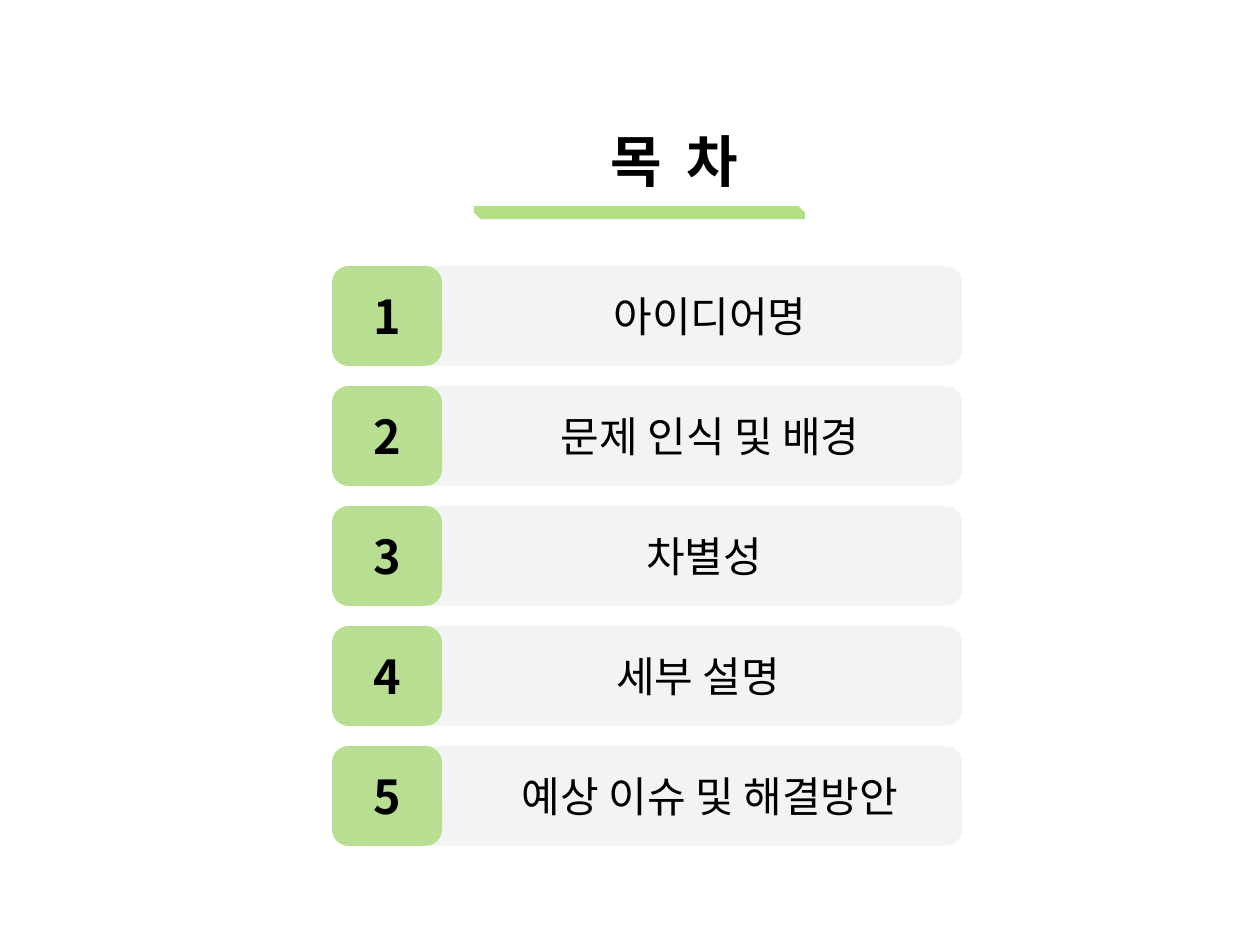
from lxml import etree
from pptx import Presentation
from pptx import util as u
from pptx.dml import color
from pptx.enum import shapes, text
from pptx.oxml import ns

PX_PER_INCH = 168
FONT = "Noto Sans CJK KR"
GREEN = "92D050"
GRAY = "D9D9D9"
BLACK = "000000"

LIST_LEFT, LIST_TOP = 332, 266
ROW_PITCH, ROW_HEIGHT = 120, 100
BAR_WIDTH, BADGE_WIDTH = 630, 110
SIDE_MARGIN = 17

ENTRIES = [
    ("아이디어명", 126),
    ("문제 인식 및 배경", 126),
    ("차별성", 114),
    ("세부 설명", 102),
    ("예상 이슈 및 해결방안", 126),
]


def px(value):
    return u.Emu(round(value * u.Inches(1) / PX_PER_INCH))


def rgb(value):
    return color.RGBColor.from_string(value)


def apply_format(target, values):
    for name, value in values.items():
        setattr(target, name, value)


def add_child(parent, tag, **attributes):
    return etree.SubElement(parent, ns.qn(tag), attributes)


def write_text(shape, content, size, bold, alignment, indent=0, spacing=0):
    frame = shape.text_frame
    apply_format(frame, {
        "auto_size": text.MSO_AUTO_SIZE.NONE,
        "word_wrap": True,
        "vertical_anchor": text.MSO_ANCHOR.MIDDLE,
        "margin_left": px(SIDE_MARGIN + indent),
        "margin_right": px(SIDE_MARGIN),
        "margin_top": 0,
        "margin_bottom": 0,
    })
    paragraph = frame.paragraphs[0]
    paragraph.alignment = alignment
    run = paragraph.add_run()
    run.text = content
    apply_format(run.font, {"name": FONT, "size": u.Pt(size), "bold": bold})
    run.font.color.rgb = rgb(BLACK)
    properties = run.font._element
    add_child(properties, "a:ea", typeface=FONT)
    if spacing:
        properties.set("spc", str(spacing))


def add_block(slide, kind, box, fill, opacity):
    shape = slide.shapes.add_shape(kind, *map(px, box))
    shape.shadow.inherit = False
    shape.fill.solid()
    shape.fill.fore_color.rgb = rgb(fill)
    fill_color = shape._element.spPr.find(".//" + ns.qn("a:srgbClr"))
    add_child(fill_color, "a:alpha", val=str(opacity * 1000))
    shape.line.fill.background()
    return shape


def add_title(slide):
    title = slide.shapes.title
    apply_format(title, {
        "left": px(593), "top": px(118), "width": px(183), "height": px(84),
    })
    write_text(title, "목 차", 24, True, text.PP_ALIGN.LEFT, spacing=270)
    underline = add_block(slide, shapes.MSO_SHAPE.SNIP_2_DIAG_RECTANGLE,
                          (474, 206, 331, 13), GREEN, 70)
    underline.adjustments[0] = 0
    underline.adjustments[1] = 0.5


def add_entry(slide, number, label, indent):
    top = LIST_TOP + (number - 1) * ROW_PITCH
    rounded = shapes.MSO_SHAPE.ROUNDED_RECTANGLE
    center = text.PP_ALIGN.CENTER
    bar = add_block(slide, rounded, (LIST_LEFT, top, BAR_WIDTH, ROW_HEIGHT), GRAY, 30)
    write_text(bar, label, 18, False, center, indent=indent)
    badge = add_block(slide, rounded, (LIST_LEFT, top, BADGE_WIDTH, ROW_HEIGHT), GREEN, 60)
    write_text(badge, str(number), 20, True, center)


def main():
    presentation = Presentation()
    apply_format(presentation, {"slide_width": px(1260), "slide_height": px(945)})
    slide = presentation.slides.add_slide(presentation.slide_layouts[5])
    add_title(slide)
    for number, (label, indent) in enumerate(ENTRIES, start=1):
        add_entry(slide, number, label, indent)
    presentation.save("out.pptx")


if __name__ == "__main__":
    main()
